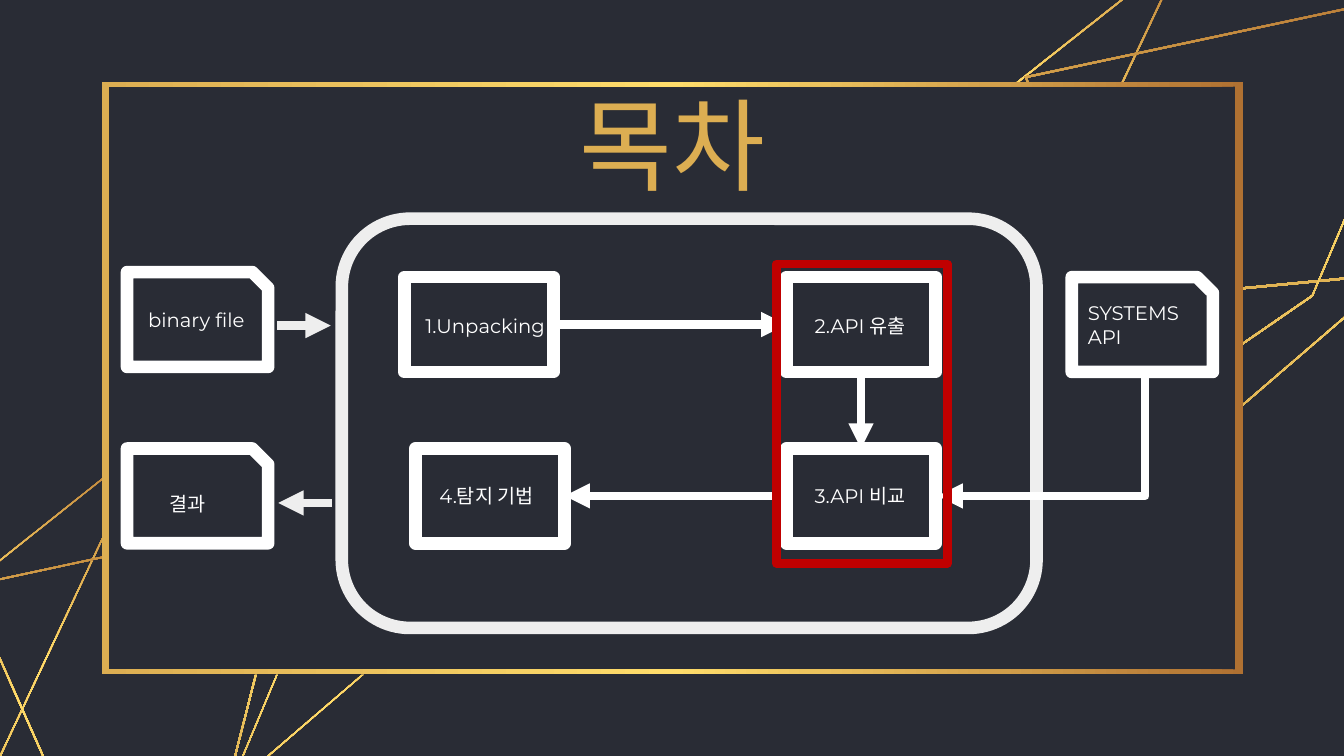
"""Build the contents slide: a detection flow inside a gold frame."""
from copy import deepcopy

from lxml import etree
from pptx import Presentation
from pptx import util as u
from pptx.dml.color import RGBColor
from pptx.enum import shapes, text
from pptx.oxml import ns

GOLD, NIGHT, WHITE, PALE, RED = "DCAE52", "292C35", "FFFFFF", "EEEEEE", "C00000"
GRADIENT = ["AF7132", "FFDD6B", GOLD]


def paint(target, color):
    """Give a fill or a line format one solid colour."""
    fill = getattr(target, "fill", target)
    fill.solid()
    fill.fore_color.rgb = RGBColor.from_string(color)


def add_ring(page, outer, inner, angle):
    """Draw the gold band between two outlines."""
    outer, inner = [[(u.Inches(x), u.Inches(y)) for x, y in points] for points in (outer, inner)]
    builder = page.shapes.build_freeform(*outer[0])
    builder.add_line_segments(outer[1:], close=True)
    builder.move_to(*inner[-1])
    builder.add_line_segments(inner[-2::-1], close=True)
    ring = builder.convert_to_shape()
    ring.shadow.inherit = False
    ring.line.fill.background()
    ring.fill.gradient()
    ring.fill.gradient_angle = angle
    stops = ring._element.spPr.find(ns.qn("a:gradFill")).find(ns.qn("a:gsLst"))
    stops.insert(1, deepcopy(stops[0]))
    for index, (stop, color) in enumerate(zip(ring.fill.gradient_stops, GRADIENT)):
        stop.position = index / 2
        stop.color.rgb = RGBColor.from_string(color)


deck = Presentation()
deck.slide_width, deck.slide_height = u.Inches(13.33), u.Inches(7.5)
page = deck.slides.add_slide(deck.slide_layouts[5])
paint(page.background, NIGHT)

polygons = [
    [(-0.21, 7.82), (-0.7, 6.11), (1.36, 4.47), (2.73, 4.24), (2.96, 5.07), (2.32, 7.58)],
    [(0.91, 8.57), (-0.14, 7.79), (1.43, 4.45), (3.63, 4.6), (2.39, 7.56)],
    [(1.04, 8.9), (-0.33, 5.81), (3.77, 4.93), (3.61, 6.69)],
    [(10.45, 3.05), (9.85, 1), (12.33, -0.96), (13.97, -1.25), (14.25, -0.25), (13.48, 2.76)],
    [(11.25, 4.16), (9.99, 3.22), (11.88, -0.78), (14.52, -0.6), (13.02, 2.94)],
    [(11.81, 4.47), (10.16, 0.76), (15.08, -0.29), (14.89, 1.82)],
]
shrink = 0.99
for points in polygons:
    middle = [(min(values) + max(values)) / 2 for values in zip(*points)]
    inner = [[m + (value - m) * shrink for m, value in zip(middle, point)] for point in points]
    add_ring(page, points, inner, 270)

backdrop = page.shapes.add_shape(
    shapes.MSO_SHAPE.RECTANGLE, *map(u.Inches, (1.05, 0.84, 11.23, 5.85)))
backdrop.shadow.inherit = False
paint(backdrop.fill, NIGHT)
backdrop.line.fill.background()
add_ring(page, [(1.01, 6.69), (1.01, 0.81), (12.33, 0.81), (12.33, 6.69)],
         [(1.08, 6.64), (1.08, 0.86), (12.25, 0.86), (12.25, 6.64)], 180)

title = page.shapes.title
page.shapes._spTree.append(title._element)
title.left, title.top, title.width, title.height = map(u.Inches, (4.12, 0.68, 5.1, 1.49))
title.text_frame.text = "목차"
title.text_frame.auto_size = text.MSO_AUTO_SIZE.NONE
title.text_frame.vertical_anchor = text.MSO_ANCHOR.MIDDLE
para = title.text_frame.paragraphs[0]
para.alignment = text.PP_ALIGN.CENTER
for name, value in {"size": u.Pt(72), "name": "Arial"}.items():
    setattr(para.runs[0].font, name, value)
paint(para.runs[0].font, GOLD)

RECT, SNIP = shapes.MSO_SHAPE.RECTANGLE, shapes.MSO_SHAPE.SNIP_1_RECTANGLE
step, document = (1.48, 0.94), (1.4, 0.94)
upper, lower = 2.75, 4.45
outlines = {
    "panel": (shapes.MSO_SHAPE.ROUNDED_RECTANGLE, 3.39, 2.17, (6.89, 4.06), PALE, 9),
    "binary": (SNIP, 1.26, 2.7, document, WHITE, 9),
    "unpacking": (RECT, 4.01, upper, step, WHITE, 9),
    "extraction": (RECT, 7.8, upper, step, WHITE, 9),
    "comparison": (RECT, 7.8, lower, step, WHITE, 9),
    "system": (SNIP, 10.63, upper, document, WHITE, 9),
    "detection": (RECT, 4.12, lower, step, WHITE, 9),
    "result": (SNIP, 1.26, lower, document, WHITE, 9),
    "highlight": (RECT, 7.7, 2.62, (1.7, 2.97), RED, 6),
}
boxes = {}
for name, (kind, left, top, size, color, weight) in outlines.items():
    box = page.shapes.add_shape(kind, *map(u.Inches, (left, top, *size)))
    box.shadow.inherit = False
    box.fill.background()
    box.line.width = u.Pt(weight)
    paint(box.line, color)
    boxes[name] = box

labels = [
    (1.37, 2.96, ["binary file"]),
    (4.12, 3.01, ["1.Unpacking"]),
    (7.98, 3.01, ["2.API 유출"]),
    (7.98, 4.7, ["3.API 비교"]),
    (10.69, 2.89, ["SYSTEMS", "API"]),
    (4.26, 4.7, ["4.탐지 기법"]),
    (1.58, 4.78, ["결과"]),
]
for left, top, lines in labels:
    height = 0.21 + 0.23 * len(lines)
    frame = page.shapes.add_textbox(*map(u.Inches, (left, top, 5.91, height))).text_frame
    margins = {f"margin_{side}": u.Inches(0.1) for side in ("left", "top", "right", "bottom")}
    for name, value in {"word_wrap": True, "auto_size": text.MSO_AUTO_SIZE.SHAPE_TO_FIT_TEXT,
                        **margins}.items():
        setattr(frame, name, value)
    frame.text = "\n".join(lines)
    for para in frame.paragraphs:
        for span in para.runs:
            span.font.size, span.font.name = u.Pt(14), "Montserrat"
            paint(span.font, WHITE)

STRAIGHT, ELBOW = shapes.MSO_CONNECTOR.STRAIGHT, shapes.MSO_CONNECTOR.ELBOW
arrows = [
    (STRAIGHT, (2.75, 3.23, 3.28, 3.23), PALE, None, None),
    (STRAIGHT, (3.29, 4.99, 2.76, 4.99), PALE, None, None),
    (STRAIGHT, (5.49, 3.23, 7.8, 3.23), WHITE, ("unpacking", 3), ("extraction", 1)),
    (STRAIGHT, (8.54, 3.7, 8.54, 4.45), WHITE, ("extraction", 2), ("comparison", 0)),
    (STRAIGHT, (7.8, 4.92, 5.6, 4.92), WHITE, ("comparison", 1), ("detection", 3)),
    (ELBOW, (11.36, 3.7, 9.3, 4.92), WHITE, None, None),
]
for kind, ends, color, start, finish in arrows:
    arrow = page.shapes.add_connector(kind, *map(u.Inches, ends))
    if start:
        arrow.begin_connect(boxes[start[0]], start[1])
        arrow.end_connect(boxes[finish[0]], finish[1])
    arrow.line.width = u.Pt(6)
    paint(arrow.line, color)
    properties = arrow._element.spPr
    etree.SubElement(properties.find(ns.qn("a:ln")), ns.qn("a:tailEnd"), type="triangle")
    etree.SubElement(properties, ns.qn("a:effectLst"))
    if kind == ELBOW:
        guides = properties.find(ns.qn("a:prstGeom")).find(ns.qn("a:avLst"))
        etree.SubElement(guides, ns.qn("a:gd"), name="adj1", fmla="val 0")

page.shapes._spTree.append(boxes["highlight"]._element)
deck.save("out.pptx")
